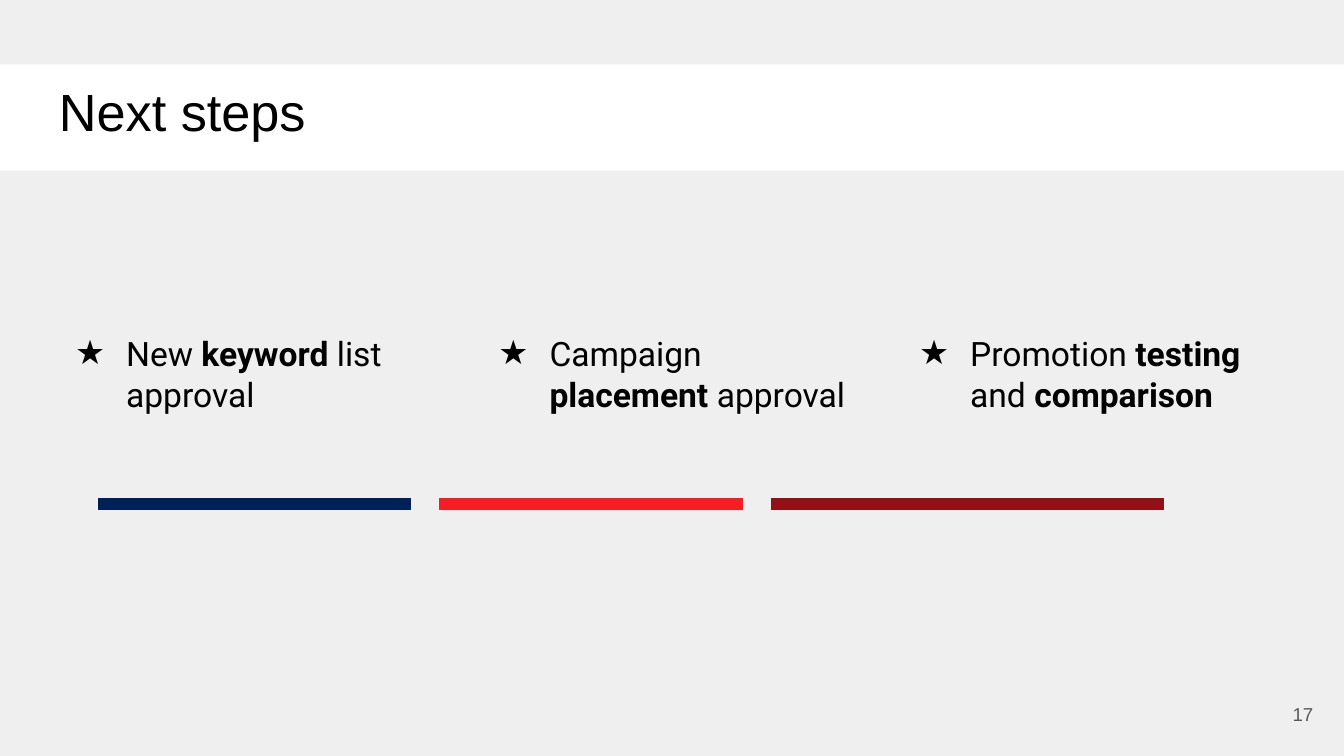
from lxml import etree
from pptx import Presentation
from pptx.dml.color import RGBColor
from pptx.enum import shapes, text
from pptx.oxml import ns
from pptx.util import Inches, Pt

WIDTH = 10
HEIGHT = WIDTH * 9 / 16
BLACK, GREY, PALE = "000000", "595959", "EFEFEF"

title = "Next steps"
page_number = "17"
steps = [
    (0.34, [("New ", False), ("keyword", True), (" list approval", False)]),
    (3.49, [("Campaign ", False), ("placement", True), (" approval", False)]),
    (6.62, [("Promotion ", False), ("testing", True), (" and ", False), ("comparison", True)]),
]
bands = [(0, 0.48), (1.27, HEIGHT - 1.27)]
bars = [("002157", 2.33), ("F71D25", 2.26), ("931116", 2.92)]

STEP_TOP, STEP_WIDTH, STEP_HEIGHT = 2.38, 3.02, 0.8
BAR_LEFT, BAR_TOP, BAR_GAP = 0.73, 3.75, 0.21


def color(value):
    return RGBColor.from_string(value)


def add_text(slide, box, runs, size, font, fill, **frame_format):
    frame = slide.shapes.add_textbox(*map(Inches, box)).text_frame
    settings = {"word_wrap": True, **frame_format}
    for side in ("left", "right", "top", "bottom"):
        settings["margin_" + side] = Inches(0.1)
    for name, value in settings.items():
        setattr(frame, name, value)
    paragraph = frame.paragraphs[0]
    for words, bold in runs:
        run = paragraph.add_run()
        run.text = words
        for name, value in {"size": Pt(size), "name": font, "bold": bold}.items():
            setattr(run.font, name, value)
        run.font.color.rgb = color(fill)
    return paragraph


def add_star(paragraph):
    properties = paragraph._p.get_or_add_pPr()
    properties.set("marL", str(Inches(0.5)))
    properties.set("indent", str(Inches(-0.38)))
    bullet_color = etree.SubElement(properties, ns.qn("a:buClr"))
    etree.SubElement(bullet_color, ns.qn("a:srgbClr"), val=BLACK)
    etree.SubElement(properties, ns.qn("a:buFont"), typeface="Roboto")
    etree.SubElement(properties, ns.qn("a:buChar"), char="★")


def add_band(slide, top, height):
    band = slide.shapes.add_shape(
        shapes.MSO_SHAPE.RECTANGLE,
        *map(Inches, (-0.04, top, WIDTH + 0.06, height)))
    band.shadow.inherit = False
    band.fill.solid()
    band.fill.fore_color.rgb = color(PALE)
    band.line.fill.background()


def add_bar(slide, left, width, fill):
    bar = slide.shapes.add_connector(
        shapes.MSO_CONNECTOR.STRAIGHT,
        *map(Inches, (left, BAR_TOP, left + width, BAR_TOP)))
    bar.line.color.rgb = color(fill)
    bar.line.width = Pt(6)
    etree.SubElement(bar._element.spPr, ns.qn("a:effectLst"))


def main():
    deck = Presentation()
    deck.slide_width, deck.slide_height = Inches(WIDTH), Inches(HEIGHT)
    slide = deck.slides.add_slide(deck.slide_layouts[6])

    for top, height in bands:
        add_band(slide, top, height)

    add_text(slide, (0.34, 0.49, 9.32, 0.63), [(title, False)], 28, "Arial", BLACK)
    number = add_text(slide, (9.27, 5.1, 0.6, 0.43), [(page_number, False)], 10, "Arial",
                      GREY, vertical_anchor=text.MSO_ANCHOR.MIDDLE)
    number.alignment = text.PP_ALIGN.RIGHT

    for left, runs in steps:
        box = (left, STEP_TOP, STEP_WIDTH, STEP_HEIGHT)
        add_star(add_text(slide, box, runs, 18, "Roboto", BLACK))

    left = BAR_LEFT
    for fill, width in bars:
        add_bar(slide, left, width, fill)
        left += width + BAR_GAP

    deck.save("out.pptx")


if __name__ == "__main__":
    main()
